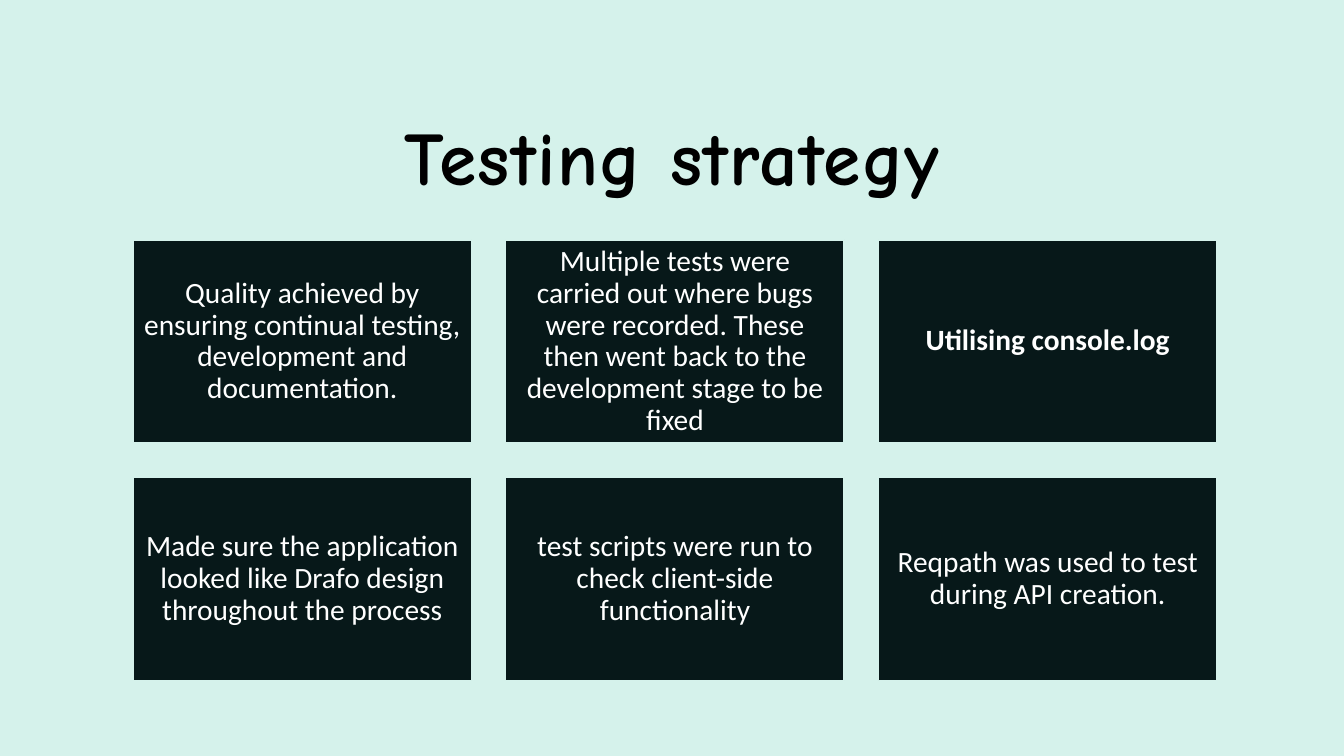
from dataclasses import dataclass

from pptx import Presentation, util as u
from pptx.dml.color import RGBColor
from pptx.enum import shapes, text


@dataclass(frozen=True)
class Theme:
    """Colours, fonts and type sizes of the slide."""
    mint: str = "D5F2EB"
    dark: str = "071819"
    black: str = "000000"
    white: str = "FFFFFF"
    title_font: str = "Comic Neue"
    body_font: str = "Calibri"
    title_size: int = 54
    body_size: int = 21


THEME = Theme()
CARDS = [
    ("Quality achieved by ensuring continual testing, development and documentation.", False),
    ("Multiple tests were carried out where bugs were recorded. These then went back "
     "to the development stage to be fixed", False),
    ("Utilising console.log", True),
    ("Made sure the application looked like Drafo design throughout the process", False),
    ("test scripts were run to check client-side functionality", False),
    ("Reqpath was used to test during API creation.", False),
]


def write_text(shape, words, *, font, size, color, bold=False, line=1.0,
               tracking=0, inset=None):
    """Write one centred paragraph into a shape."""
    frame = shape.text_frame
    frame.word_wrap = True
    frame.vertical_anchor = text.MSO_ANCHOR.MIDDLE
    if inset is not None:
        frame.margin_left = frame.margin_right = u.Inches(inset)
        frame.margin_top = frame.margin_bottom = u.Inches(inset)
    para = frame.paragraphs[0]
    para.alignment = text.PP_ALIGN.CENTER
    para.line_spacing = line
    span = para.add_run()
    span.text = words
    span.font.name = font
    span.font.size = u.Pt(size)
    span.font.bold = bold
    span.font.color.rgb = RGBColor.from_string(color)
    if tracking:
        span.font._element.set("spc", str(tracking * 100))


def add_title(page, box, words):
    """Place the slide title in the given box."""
    title = page.shapes.add_textbox(*map(u.Inches, box))
    write_text(title, words, font=THEME.title_font, size=THEME.title_size,
               color=THEME.black, bold=True, tracking=1)


def add_card(page, box, words, bold):
    """Place one dark card with its text."""
    card = page.shapes.add_shape(shapes.MSO_SHAPE.RECTANGLE, *map(u.Inches, box))
    card.shadow.inherit = False
    card.fill.solid()
    card.fill.fore_color.rgb = RGBColor.from_string(THEME.dark)
    card.line.color.rgb = RGBColor.from_string(THEME.mint)
    card.line.width = u.Pt(1)
    write_text(card, words, font=THEME.body_font, size=THEME.body_size,
               color=THEME.white, bold=bold, line=0.9, inset=0.09)


def add_card_grid(page, box, cards, columns=3, gap=0.34):
    """Spread the cards evenly over the given box."""
    left, top, width, height = box
    rows = -(-len(cards) // columns)
    card_width = (width - gap * (columns - 1)) / columns
    card_height = (height - gap * (rows - 1)) / rows
    for index, (words, bold) in enumerate(cards):
        row, column = divmod(index, columns)
        add_card(page, (left + column * (card_width + gap),
                        top + row * (card_height + gap),
                        card_width, card_height), words, bold)


def main():
    """Build and save the testing strategy slide."""
    deck = Presentation()
    deck.slide_width, deck.slide_height = u.Inches(13.33), u.Inches(7.5)
    page = deck.slides.add_slide(deck.slide_layouts[6])
    page.background.fill.solid()
    page.background.fill.fore_color.rgb = RGBColor.from_string(THEME.mint)
    add_title(page, (1.2, 0.59, 10.94, 1.89), "Testing strategy")
    add_card_grid(page, (1.32, 2.38, 10.75, 4.37), CARDS)
    deck.save("out.pptx")


if __name__ == "__main__":
    main()
